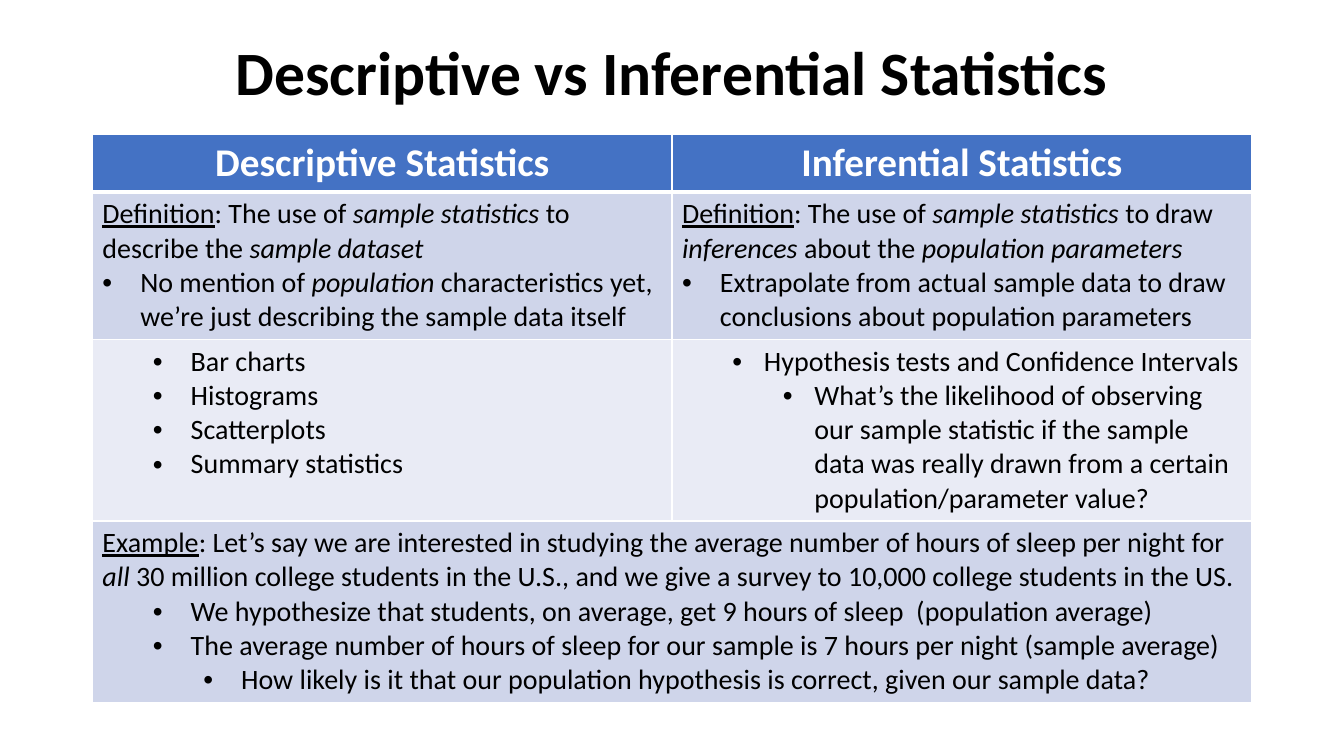
from dataclasses import dataclass

from lxml import etree
from pptx import Presentation
from pptx import util as u
from pptx.dml.color import RGBColor
from pptx.enum import text
from pptx.oxml import ns


@dataclass(frozen=True)
class Theme:
    """Colours, font and type sizes of the slide."""
    font: str = "Calibri"
    ink: str = "000000"
    paper: str = "FFFFFF"
    header: str = "4472C4"
    band: str = "CFD5EA"
    light_band: str = "E9EBF5"
    title_size: int = 44
    header_size: int = 28
    body_size: int = 20


THEME = Theme()
LEVEL_STEP = 36

HEADINGS = ["Descriptive Statistics", "Inferential Statistics"]

DEFINITIONS = [
    [(None, 0, [("Definition", "u"), (": The use of ", ""), ("sample statistics ", "i"),
                ("to describe the ", ""), ("sample dataset", "i")]),
     (0, 27, [("No mention of ", ""), ("population", "i"),
              (" characteristics yet, we’re just describing the sample data itself", "")])],
    [(None, 0, [("Definition", "u"), (": The use of ", ""), ("sample statistics", "i"),
                (" to draw ", ""), ("inferences", "i"), (" about the ", ""),
                ("population parameters", "i")]),
     (0, 27, [("Extrapolate from actual sample data to draw conclusions "
               "about population parameters", "")])],
]

METHODS = [
    [(1, 27, [(method, "")])
     for method in ("Bar charts", "Histograms", "Scatterplots", "Summary statistics")],
    [(1, 22.5, [("Hypothesis tests and Confidence Intervals", "")]),
     (2, 22.5, [("What’s the likelihood of observing our sample statistic if the sample data "
                 "was really drawn from a certain population/parameter value?", "")])],
]

EXAMPLE = [
    (None, 0, [("Example", "u"),
               (": Let’s say we are interested in studying the average number of hours "
                "of sleep per night for ", ""),
               ("all", "i"),
               (" 30 million college students in the U.S., and we give a survey to "
                "10,000 college students in the US.", "")]),
    (1, 27, [("We hypothesize that students, on average, get 9 hours of sleep  "
              "(population average)", "")]),
    (1, 27, [("The average number of hours of sleep for our sample is 7 hours per night "
              "(sample average)", "")]),
    (2, 27, [("How likely is it that our population hypothesis is correct, "
              "given our sample data?", "")]),
]


def style_font(font, size, color, bold=False):
    """Apply the theme font with a size, colour and weight."""
    font.name = THEME.font
    font.size = u.Pt(size)
    font.bold = bold
    font.color.rgb = RGBColor.from_string(color)


def add_bullet(paragraph, level, hang):
    """Give a paragraph a round bullet with a hanging indent."""
    paragraph.level = level
    properties = paragraph._p.get_or_add_pPr()
    properties.set("marL", str(u.Pt(level * LEVEL_STEP + hang)))
    properties.set("indent", str(u.Pt(-hang)))
    etree.SubElement(properties, ns.qn("a:buFont")).set("typeface", "Arial")
    etree.SubElement(properties, ns.qn("a:buChar")).set("char", "•")


def style_cell(cell, fill, bottom=1):
    """Draw the white rules around a cell and fill it."""
    properties = cell._tc.get_or_add_tcPr()
    for side, width in (("L", 1), ("R", 1), ("T", 1), ("B", bottom)):
        rule = etree.SubElement(properties, ns.qn(f"a:ln{side}"), w=str(u.Pt(width)))
        paint = etree.SubElement(rule, ns.qn("a:solidFill"))
        etree.SubElement(paint, ns.qn("a:srgbClr")).set("val", THEME.paper)
    cell.fill.solid()
    cell.fill.fore_color.rgb = RGBColor.from_string(fill)


def fill_header(cell, heading):
    """Write a centred column heading."""
    style_cell(cell, THEME.header, bottom=3)
    paragraph = cell.text_frame.paragraphs[0]
    paragraph.text = heading
    paragraph.alignment = text.PP_ALIGN.CENTER
    style_font(paragraph.font, THEME.header_size, THEME.paper, bold=True)


def fill_body(cell, points, fill):
    """Write plain and bulleted paragraphs into a body cell."""
    style_cell(cell, fill)
    frame = cell.text_frame
    for index, (level, hang, pieces) in enumerate(points):
        paragraph = frame.add_paragraph() if index else frame.paragraphs[0]
        if level is not None:
            add_bullet(paragraph, level, hang)
        style_font(paragraph.font, THEME.body_size, THEME.ink)
        for words, emphasis in pieces:
            run = paragraph.add_run()
            run.text = words
            if emphasis == "u":
                run.font.underline = True
            elif emphasis == "i":
                run.font.italic = True


def place_title(slide, left, top, width, height):
    """Set the slide title in the given box."""
    title = slide.shapes.title
    title.left, title.top, title.width, title.height = map(u.Pt, (left, top, width, height))
    title.text_frame.auto_size = text.MSO_AUTO_SIZE.NONE
    title.text_frame.vertical_anchor = text.MSO_ANCHOR.MIDDLE
    paragraph = title.text_frame.paragraphs[0]
    paragraph.text = "Descriptive vs Inferential Statistics"
    paragraph.alignment = text.PP_ALIGN.CENTER
    paragraph.line_spacing = 0.9
    style_font(paragraph.font, THEME.title_size, THEME.ink, bold=True)


def place_comparison(slide, left, top, width, row_heights):
    """Build the two-column comparison with a shared example below."""
    table = slide.shapes.add_table(
        len(row_heights), 2, u.Pt(left), u.Pt(top), u.Pt(width), u.Pt(sum(row_heights))
    ).table
    for row, height in zip(table.rows, row_heights):
        row.height = u.Pt(height)
    for column, heading in enumerate(HEADINGS):
        table.columns[column].width = u.Pt(width / 2)
        fill_header(table.cell(0, column), heading)
        fill_body(table.cell(1, column), DEFINITIONS[column], THEME.band)
        fill_body(table.cell(2, column), METHODS[column], THEME.light_band)
    example = table.cell(3, 0)
    example.merge(table.cell(3, 1))
    fill_body(example, EXAMPLE, THEME.band)


def main():
    """Build and save the slide."""
    deck = Presentation()
    deck.slide_width, deck.slide_height = u.Pt(960), u.Pt(540)
    slide = deck.slides.add_slide(deck.slide_layouts[5])
    place_title(slide, 66, 1.5, 828, 104.5)
    place_comparison(slide, 66, 95.75, 828, [41, 103, 127.5, 127.5])
    deck.save("out.pptx")


if __name__ == "__main__":
    main()
